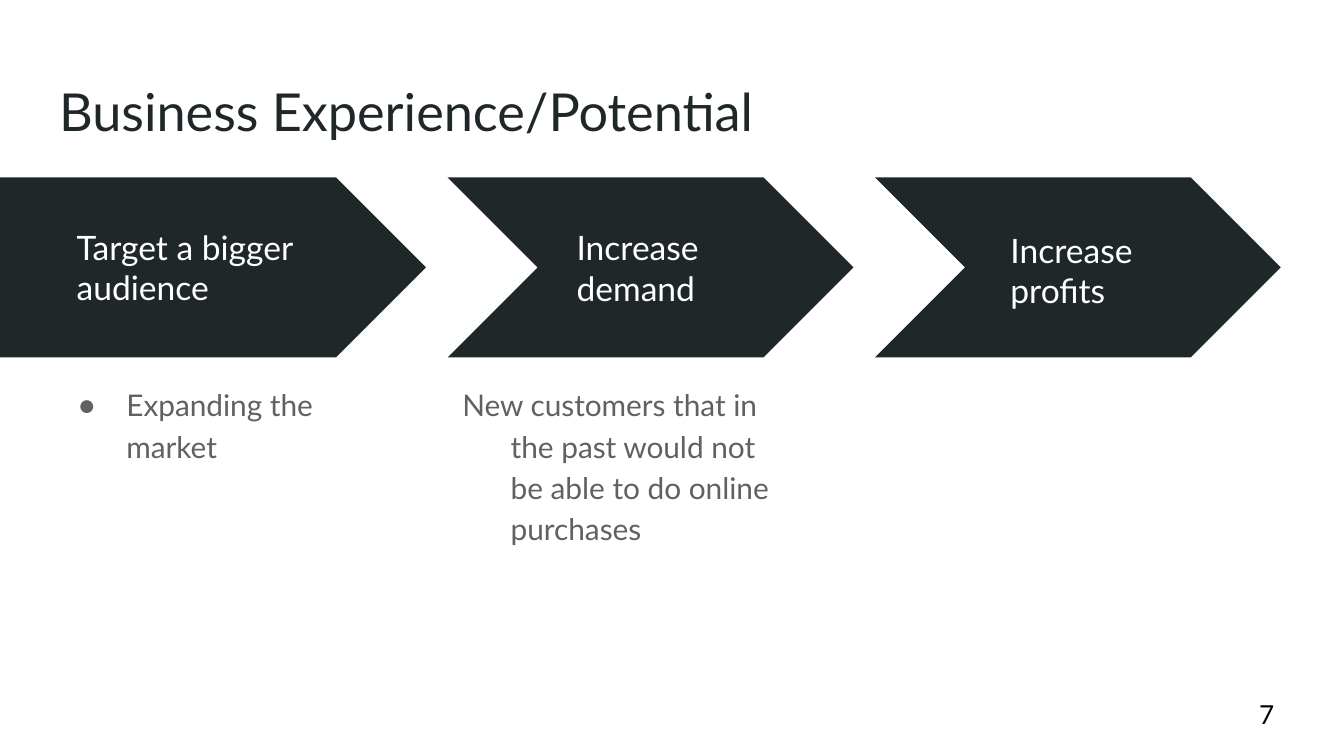
"""Build the Business Experience/Potential slide with three process arrows."""
from lxml.etree import SubElement
from pptx import Presentation
from pptx.dml.color import RGBColor
from pptx.enum.shapes import MSO_SHAPE
from pptx.enum.text import MSO_ANCHOR, MSO_AUTO_SIZE, PP_ALIGN
from pptx.oxml.ns import qn
from pptx.util import Inches, Pt

DARK = RGBColor(0x20, 0x27, 0x29)
GRAY = RGBColor(0x61, 0x61, 0x61)
WHITE = RGBColor(0xFF, 0xFF, 0xFF)
BLACK = RGBColor(0x00, 0x00, 0x00)


def write(box, text, place, size, color, anchor=MSO_ANCHOR.TOP, listed=False, bullet=None):
    box.left, box.top, box.width, box.height = [Inches(length) for length in place]
    frame = box.text_frame
    frame.auto_size = MSO_AUTO_SIZE.NONE
    frame.word_wrap = True
    frame.vertical_anchor = anchor
    frame.margin_left = frame.margin_right = Inches(0.1)
    frame.margin_top = frame.margin_bottom = Inches(0.1)
    para = frame.paragraphs[0]
    para.alignment = PP_ALIGN.LEFT
    para.space_before = Pt(0)
    para.space_after = Pt(8 if listed else 0)
    para.line_spacing = 1.15 if listed else 1.0
    properties = para._p.get_or_add_pPr()
    properties.set("marL", str(Inches(0.5 if listed else 0)))
    properties.set("indent", str(Inches(-0.36 if listed else 0)))
    if bullet:
        SubElement(properties, qn("a:buChar")).set("char", bullet)
    else:
        SubElement(properties, qn("a:buNone"))
    span = para.add_run()
    span.text = text
    span.font.name = "Lato"
    span.font.size = Pt(size)
    span.font.bold = False
    span.font.color.rgb = color


deck = Presentation()
deck.slide_width = Inches(10)
deck.slide_height = Inches(10) * 9 // 16
page = deck.slides.add_slide(deck.slide_layouts.get_by_name("Comparison"))
title = page.shapes.title
first_heading, first_list, second_heading, second_list = list(page.placeholders)[1:5]

arrows = [
    (MSO_SHAPE.PENTAGON, 0, 3.17),
    (MSO_SHAPE.CHEVRON, 3.33, 3.02),
    (MSO_SHAPE.CHEVRON, 6.51, 3.02),
]
for kind, left, width in arrows:
    arrow = page.shapes.add_shape(kind, Inches(left), Inches(1.32), Inches(width), Inches(1.34))
    arrow.adjustments[0] = 0.5
    arrow.shadow.inherit = False
    arrow.fill.solid()
    arrow.fill.fore_color.rgb = DARK
    arrow.line.fill.background()
    page.shapes._spTree.insert(2, arrow._element)

third_heading, page_number = [page.shapes.add_textbox(0, 0, 0, 0) for _ in range(2)]

write(title, "Business Experience/Potential", (0.34, 0.49, 9.32, 0.63), 28, DARK)

headings = [
    (first_heading, "Target a bigger audience", (0.47, 1.64, 2.47, 0.69)),
    (second_heading, "Increase demand", (4.19, 1.45, 1.71, 1.08)),
    (third_heading, "Increase profits", (7.42, 1.51, 1.53, 1)),
]
for box, text, place in headings:
    write(box, text, place, 18, WHITE, anchor=MSO_ANCHOR.MIDDLE)

write(first_list, "Expanding the market", (0.34, 2.74, 2.7, 1), 16, GRAY, listed=True, bullet="●")
write(second_list, "New customers that in the past would not be able to do online purchases",
      (3.2, 2.74, 2.7, 1.34), 16, GRAY, listed=True)
write(page_number, "7", (9.27, 5.1, 0.6, 0.43), 14, BLACK, anchor=MSO_ANCHOR.MIDDLE)

deck.save("out.pptx")
